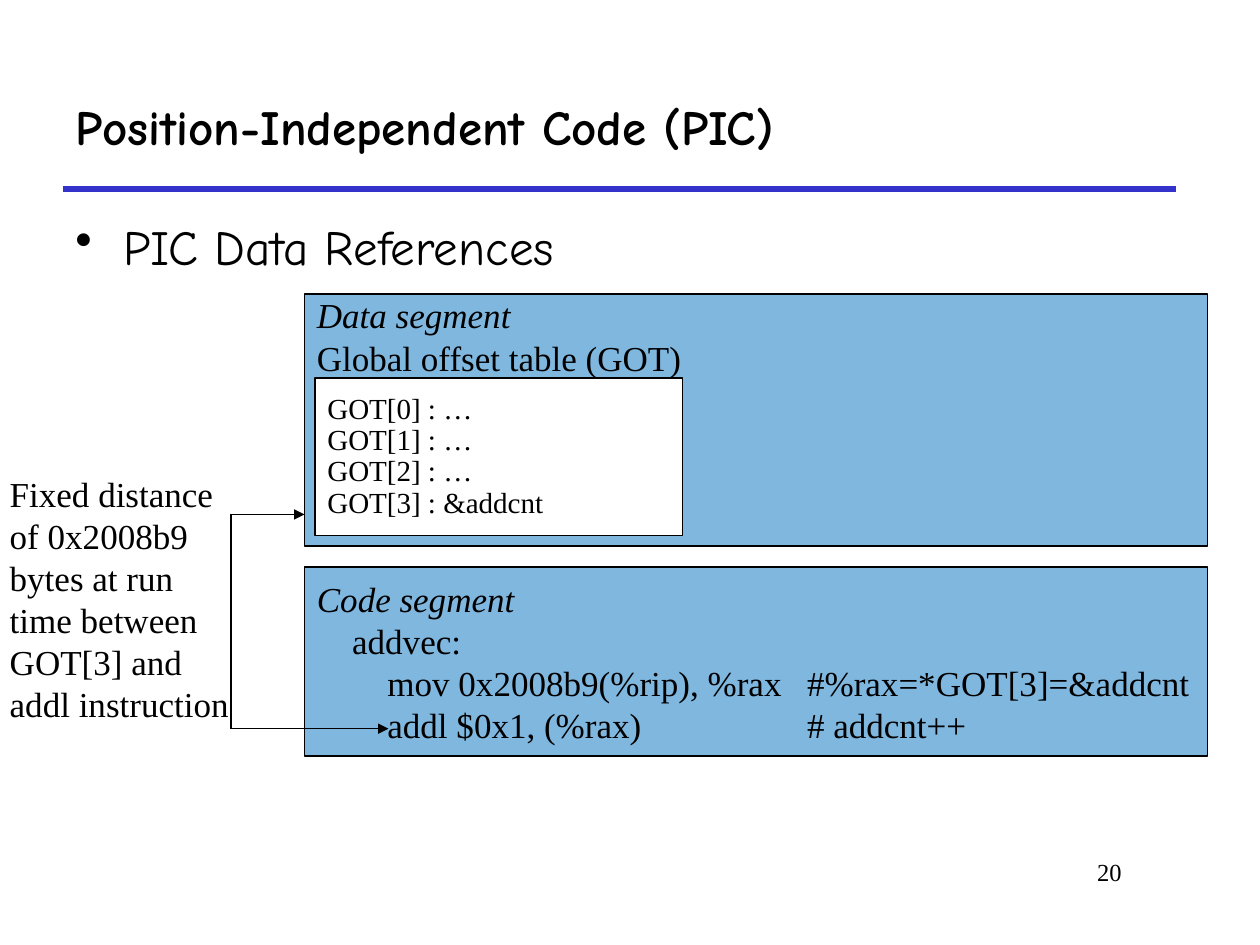
from dataclasses import dataclass
from typing import Optional

from lxml.etree import SubElement
from pptx import Presentation
from pptx.dml.color import RGBColor
from pptx.enum.shapes import MSO_CONNECTOR, MSO_SHAPE
from pptx.enum.text import MSO_ANCHOR, PP_ALIGN
from pptx.oxml.ns import qn
from pptx.util import Inches, Length, Pt

COLORS = {"ink": "000000", "rule": "3333CC", "segment": "0070C0", "paper": "FFFFFF"}
HEADING_FONT, TEXT_FONT = "Comic Neue", "Times New Roman"
CELLS_PER_INCH = 12  # the slide is a grid of 120 columns by 90 rows
CODE_TABS = (0.28, 0.56, 3.89)  # label, instruction, comment


@dataclass(frozen=True)
class Area:
    col: float
    row: float
    cols: float
    rows: float


@dataclass(frozen=True)
class Line:
    text: str
    size: float = 20
    font: str = TEXT_FONT
    italic: bool = False
    bold: bool = False
    spacing: Optional[float] = None
    align: PP_ALIGN = PP_ALIGN.LEFT
    tabs: tuple[float, ...] = ()


@dataclass(frozen=True)
class Panel:
    area: Area
    fill: str
    lines: tuple[Line, ...]
    alpha: int = 100
    from_top: bool = False


@dataclass(frozen=True)
class Stroke:
    start: tuple[float, float]
    end: tuple[float, float]
    arrow: bool = False
    color: str = "ink"
    width: float = 0.75


PANELS = (
    Panel(Area(29, 28, 86, 24), "segment",
          (Line("Data segment", italic=True), Line("Global offset table (GOT)")),
          alpha=50, from_top=True),
    Panel(Area(30, 36, 35, 15), "paper",
          tuple(Line(f"GOT[{index}] : {entry}", size=16.6, spacing=0.9)
                for index, entry in enumerate(("…", "…", "…", "&addcnt")))),
    Panel(Area(29, 54, 86, 18), "segment",
          (Line("Code segment", italic=True),
           Line("\taddvec:", tabs=CODE_TABS),
           Line("\t\tmov 0x2008b9(%rip), %rax\t#%rax=*GOT[3]=&addcnt", tabs=CODE_TABS),
           Line("\t\taddl $0x1, (%rax)\t# addcnt++", tabs=CODE_TABS)),
          alpha=50),
)
BRACKET_COL, GOT_ROW, ADDL_ROW = 22, 49, 69.4
STROKES = (
    Stroke((6, 18), (112, 18), color="rule", width=3),
    Stroke((BRACKET_COL, GOT_ROW), (29, GOT_ROW), arrow=True),
    Stroke((BRACKET_COL, ADDL_ROW), (37, ADDL_ROW), arrow=True),
    Stroke((BRACKET_COL, GOT_ROW), (BRACKET_COL, ADDL_ROW)),
)


def cells(count: float) -> Length:
    return Inches(count / CELLS_PER_INCH)


def box(area: Area) -> tuple[Length, ...]:
    return tuple(cells(n) for n in (area.col, area.row, area.cols, area.rows))


def rgb(name: str) -> RGBColor:
    return RGBColor.from_string(COLORS[name])


def write(frame, lines: tuple[Line, ...], anchor=MSO_ANCHOR.TOP) -> None:
    frame.word_wrap = True
    frame.vertical_anchor = anchor
    for index, line in enumerate(lines):
        paragraph = frame.add_paragraph() if index else frame.paragraphs[0]
        paragraph.alignment = line.align
        if line.spacing:
            paragraph.line_spacing = line.spacing
        if line.tabs:
            stops = SubElement(paragraph._p.get_or_add_pPr(), qn("a:tabLst"))
            for stop in line.tabs:
                SubElement(stops, qn("a:tab"), pos=str(Inches(stop)), algn="l")
        run = paragraph.add_run()
        run.text = line.text
        font = run.font
        font.name, font.size = line.font, Pt(line.size)
        font.bold, font.italic = line.bold, line.italic
        font.color.rgb = rgb("ink")


def add_text(slide, area: Area, line: Line):
    frame = slide.shapes.add_textbox(*box(area)).text_frame
    write(frame, (line,))
    return frame


def add_bullet(paragraph) -> None:
    paragraph.space_before = Pt(7)
    properties = paragraph._p.get_or_add_pPr()
    properties.set("marL", str(Inches(0.38)))
    properties.set("indent", str(-Inches(0.38)))
    SubElement(properties, qn("a:buChar"), char="•")


def add_panel(slide, panel: Panel) -> None:
    shape = slide.shapes.add_shape(MSO_SHAPE.RECTANGLE, *box(panel.area))
    shape.shadow.inherit = False
    shape.fill.solid()
    shape.fill.fore_color.rgb = rgb(panel.fill)
    if panel.alpha < 100:
        color = shape.fill._xPr.find(".//" + qn("a:srgbClr"))
        SubElement(color, qn("a:alpha"), val=str(panel.alpha * 1000))
    shape.line.color.rgb = rgb("ink")
    shape.line.width = Pt(0.75)
    if panel.from_top:
        shape.text_frame.margin_top = 0
    write(shape.text_frame, panel.lines,
          MSO_ANCHOR.TOP if panel.from_top else MSO_ANCHOR.MIDDLE)


def add_stroke(slide, stroke: Stroke) -> None:
    ends = (cells(n) for n in stroke.start + stroke.end)
    connector = slide.shapes.add_connector(MSO_CONNECTOR.STRAIGHT, *ends)
    connector.line.color.rgb = rgb(stroke.color)
    connector.line.width = Pt(stroke.width)
    if stroke.arrow:
        SubElement(connector.line._get_or_add_ln(), qn("a:tailEnd"), type="triangle")
    SubElement(connector._element.spPr, qn("a:effectLst"))


def main() -> None:
    deck = Presentation()
    deck.slide_width, deck.slide_height = cells(120), cells(90)
    slide = deck.slides.add_slide(deck.slide_layouts[5])

    title = slide.shapes.title
    title.left, title.top, title.width, title.height = box(Area(6, 6, 106, 12))
    heading = Line("Position-Independent Code (PIC)", 28, HEADING_FONT, bold=True)
    write(title.text_frame, (heading,), MSO_ANCHOR.MIDDLE)

    topic = add_text(slide, Area(6, 20, 105, 60),
                     Line("PIC Data References", 28, HEADING_FONT))
    add_bullet(topic.paragraphs[0])
    add_text(slide, Area(91, 81, 17, 6), Line("20", 14, align=PP_ALIGN.RIGHT))

    for panel in PANELS:
        add_panel(slide, panel)
    add_text(slide, Area(-0.25, 44.4, 23.5, 25.2),
             Line("Fixed distance of 0x2008b9 bytes at run time between "
                  "GOT[3] and addl instruction"))
    for stroke in STROKES:
        add_stroke(slide, stroke)
    deck.save("out.pptx")


if __name__ == "__main__":
    main()
